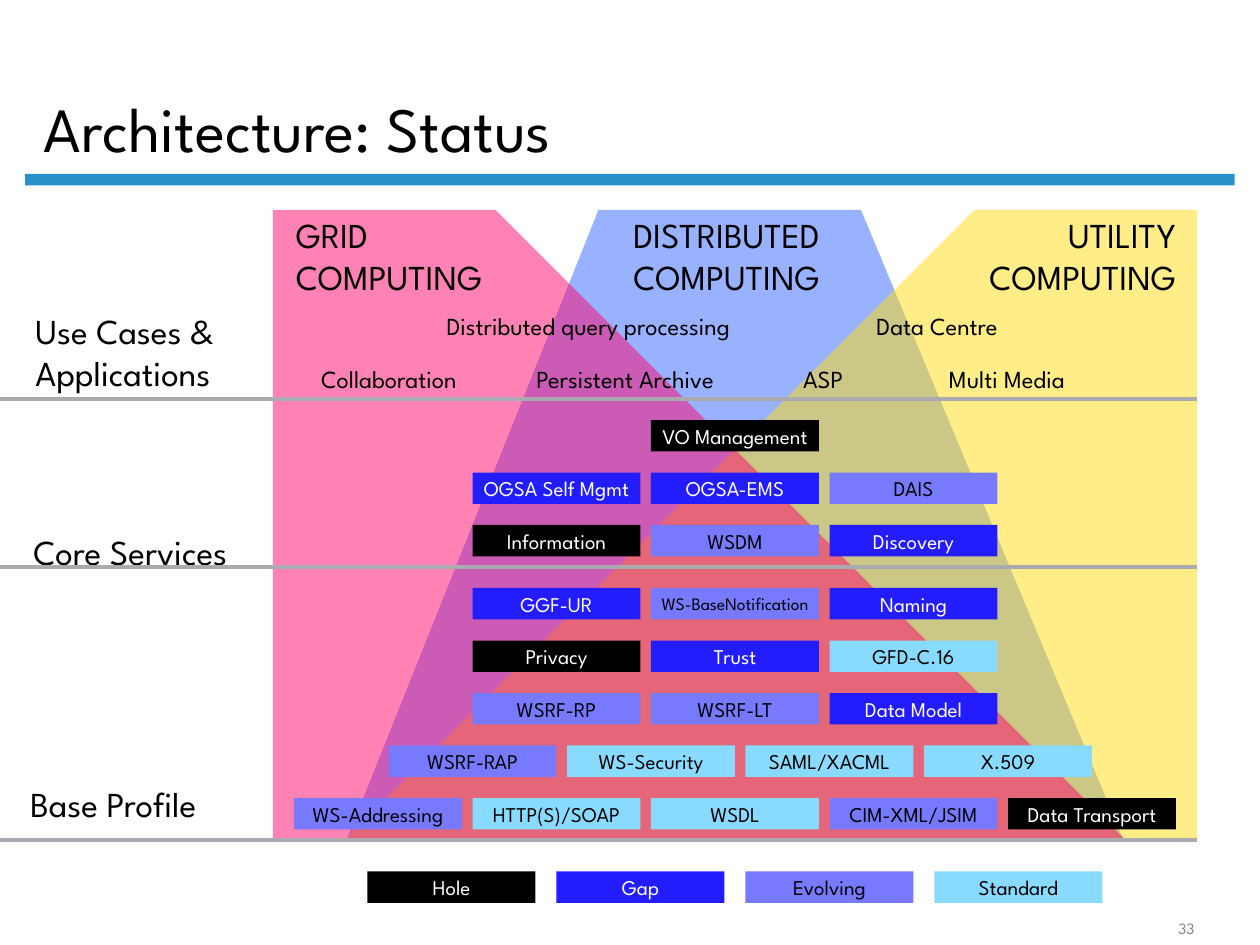
from dataclasses import dataclass

import pptx
import pptx.dml.color
import pptx.enum.shapes
import pptx.enum.text
import pptx.oxml.ns
import pptx.util
from lxml import etree

ALIGN = pptx.enum.text.PP_ALIGN
ANCHOR = pptx.enum.text.MSO_ANCHOR
COLUMNS, ROWS = 120, 90
SLIDE_W, SLIDE_H = pptx.util.Inches(10), pptx.util.Inches(7.5)


@dataclass(frozen=True)
class Theme:
    font: str = "League Spartan"
    text: str = "000000"
    number: str = "848589"
    bar: str = "2990CA"
    rule: str = "AAABB0"
    grid: str = "FF066D"
    distributed: str = "3366FF"
    utility: str = "FFDD11"
    title_pt: int = 36
    heading_pt: int = 20
    topic_pt: int = 14
    box_pt: int = 12
    small_pt: int = 10
    number_pt: int = 9
    rule_pt: float = 2.25


@dataclass(frozen=True)
class Status:
    name: str
    fill: str
    text: str


@dataclass(frozen=True)
class Label:
    text: str
    col: float
    row: float
    cols: float
    rows: float
    size: int
    color: str = "000000"
    align: ALIGN = ALIGN.LEFT
    anchor: ANCHOR = ANCHOR.TOP
    wrap: bool = False
    spacing: float = 1.0


@dataclass(frozen=True)
class BoxRow:
    col: float
    row: float
    boxes: tuple
    pitch: float = 17


THEME = Theme()
HOLE = Status("Hole", "000000", "FFFFFF")
GAP = Status("Gap", "221CFF", "FFFFFF")
EVOLVING = Status("Evolving", "777AFF", "000000")
STANDARD = Status("Standard", "88DBFF", "000000")
BOX_COLS, BOX_ROWS = 16, 3
LONG_NAME = 15

AREAS = (
    (THEME.distributed, ((33, 80), (57, 20), (82, 20), (107, 80))),
    (THEME.utility, ((114, 20), (92.8, 20), (33, 79.8), (114, 79.8))),
    (THEME.grid, ((26, 20), (47.2, 20), (107, 79.8), (26, 79.8))),
)
RULE_ROWS = (38, 54, 80)


def topic(text: str, col: float, row: float, cols: float) -> Label:
    return Label(text, col, row, cols, 4.1, THEME.topic_pt,
                 align=ALIGN.CENTER, anchor=ANCHOR.MIDDLE)


LABELS = (
    Label("Architecture: Status", 3, 1.4, 102.7, 15, THEME.title_pt,
          anchor=ANCHOR.BOTTOM, wrap=True, spacing=0.9),
    Label("GRID\nCOMPUTING", 27, 19.7, 22.6, 9.2, THEME.heading_pt),
    Label("DISTRIBUTED\nCOMPUTING", 57.4, 19.7, 23.6, 9.2, THEME.heading_pt,
          align=ALIGN.CENTER),
    Label("UTILITY\nCOMPUTING", 90.6, 19.7, 22.6, 9.2, THEME.heading_pt,
          align=ALIGN.RIGHT),
    Label("Use Cases &\nApplications", 2.2, 28.9, 21.6, 9.2, THEME.heading_pt),
    Label("Core Services", 2, 49.9, 23.4, 5.3, THEME.heading_pt),
    Label("Base Profile", 1.7, 73.9, 21, 5.3, THEME.heading_pt),
    topic("Distributed query processing", 38.9, 29, 34.3),
    topic("Data Centre", 81.5, 29, 15.5),
    topic("Collaboration", 28.4, 34, 17.3),
    topic("Persistent Archive", 48.5, 34, 22.1),
    topic("ASP", 75.1, 34, 6.6),
    topic("Multi Media", 88.2, 34, 15.4),
    Label("33", 108, 87, 10, 2.9, THEME.number_pt, THEME.number,
          ALIGN.CENTER, ANCHOR.BOTTOM, True),
)

BOX_ROWS_ALL = (
    BoxRow(62, 40, (("VO Management", HOLE),)),
    BoxRow(45, 45, (("OGSA Self Mgmt", GAP), ("OGSA-EMS", GAP), ("DAIS", EVOLVING))),
    BoxRow(45, 50, (("Information", HOLE), ("WSDM", EVOLVING), ("Discovery", GAP))),
    BoxRow(45, 56, (("GGF-UR", GAP), ("WS-BaseNotification", EVOLVING), ("Naming", GAP))),
    BoxRow(45, 61, (("Privacy", HOLE), ("Trust", GAP), ("GFD-C.16", STANDARD))),
    BoxRow(45, 66, (("WSRF-RP", EVOLVING), ("WSRF-LT", EVOLVING), ("Data Model", GAP))),
    BoxRow(37, 71, (("WSRF-RAP", EVOLVING), ("WS-Security", STANDARD),
                    ("SAML/XACML", STANDARD), ("X.509", STANDARD))),
    BoxRow(28, 76, (("WS-Addressing", EVOLVING), ("HTTP(S)/SOAP", STANDARD),
                    ("WSDL", STANDARD), ("CIM-XML/JSIM", EVOLVING),
                    ("Data Transport", HOLE))),
    BoxRow(35, 83, tuple((s.name, s) for s in (HOLE, GAP, EVOLVING, STANDARD)), 18),
)


def x(col: float) -> int:
    return round(SLIDE_W * col / COLUMNS)


def y(row: float) -> int:
    return round(SLIDE_H * row / ROWS)


def rgb(color: str) -> pptx.dml.color.RGBColor:
    return pptx.dml.color.RGBColor.from_string(color)


def paint(sp, color: str) -> None:
    sp.shadow.inherit = False
    sp.fill.solid()
    sp.fill.fore_color.rgb = rgb(color)
    sp.line.fill.background()


def write(sp, label: Label) -> None:
    tf = sp.text_frame
    tf.text = label.text
    tf.word_wrap = label.wrap
    tf.vertical_anchor = label.anchor
    for p in tf.paragraphs:
        p.alignment = label.align
        p.line_spacing = label.spacing
        for r in p.runs:
            r.font.name = THEME.font
            r.font.size = pptx.util.Pt(label.size)
            r.font.color.rgb = rgb(label.color)


def add_label(slide, label: Label) -> None:
    sp = slide.shapes.add_textbox(x(label.col), y(label.row), x(label.cols), y(label.rows))
    write(sp, label)


def add_rect(slide, col: float, row: float, cols: float, rows: float, color: str):
    sp = slide.shapes.add_shape(pptx.enum.shapes.MSO_SHAPE.RECTANGLE,
                                x(col), y(row), x(cols), y(rows))
    paint(sp, color)
    return sp


def add_area(slide, color: str, points: tuple) -> None:
    start, *rest = [(x(col), y(row)) for col, row in points]
    builder = slide.shapes.build_freeform(*start)
    builder.add_line_segments(rest, close=True)
    sp = builder.convert_to_shape()
    paint(sp, color)
    clr = sp.fill._xPr.find(".//" + pptx.oxml.ns.qn("a:srgbClr"))
    etree.SubElement(clr, pptx.oxml.ns.qn("a:alpha")).set("val", "50000")


def add_rule(slide, row: float) -> None:
    line = slide.shapes.add_connector(pptx.enum.shapes.MSO_CONNECTOR.STRAIGHT,
                                      0, y(row), x(114), y(row))
    line.line.color.rgb = rgb(THEME.rule)
    line.line.width = pptx.util.Pt(THEME.rule_pt)
    etree.SubElement(line._element.spPr, pptx.oxml.ns.qn("a:effectLst"))


def add_box_row(slide, box_row: BoxRow) -> None:
    for i, (name, status) in enumerate(box_row.boxes):
        col = box_row.col + i * box_row.pitch
        size = THEME.small_pt if len(name) > LONG_NAME else THEME.box_pt
        sp = add_rect(slide, col, box_row.row, BOX_COLS, BOX_ROWS, status.fill)
        write(sp, Label(name, col, box_row.row, BOX_COLS, BOX_ROWS, size, status.text,
                        ALIGN.CENTER, ANCHOR.MIDDLE))


def main() -> None:
    prs = pptx.Presentation()
    prs.slide_width, prs.slide_height = SLIDE_W, SLIDE_H
    slide = prs.slides.add_slide(prs.slide_layouts[6])
    add_rect(slide, 2.4, 16.55, 115.2, 1.1, THEME.bar)
    for color, points in AREAS:
        add_area(slide, color, points)
    for label in LABELS:
        add_label(slide, label)
    for row in RULE_ROWS:
        add_rule(slide, row)
    for box_row in BOX_ROWS_ALL:
        add_box_row(slide, box_row)
    prs.save("out.pptx")


if __name__ == "__main__":
    main()
